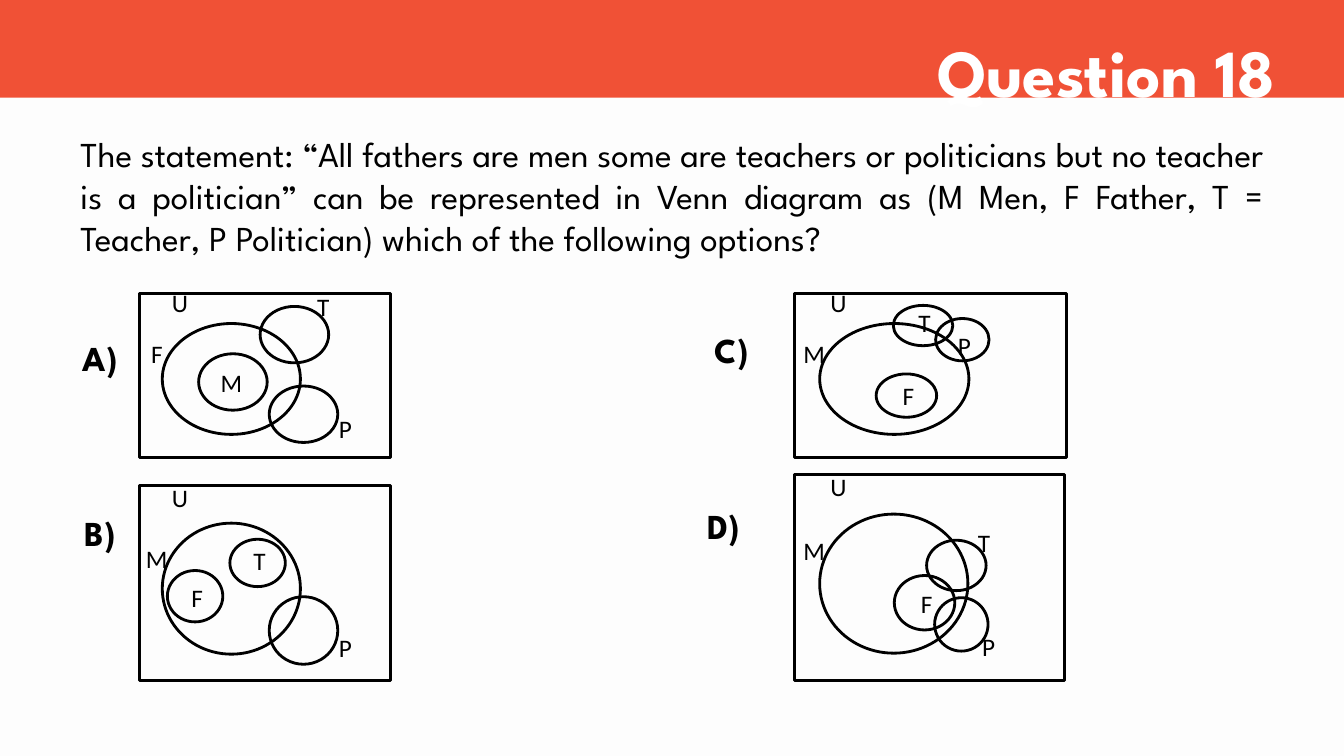
"""Build the Venn diagram quiz slide."""
from dataclasses import dataclass
from typing import NamedTuple

from pptx import Presentation
from pptx.dml.color import RGBColor
from pptx.enum import shapes, text
from pptx.shapes.autoshape import Shape
from pptx.shapes.shapetree import GroupShapes, SlideShapes
from pptx.util import Inches, Pt


@dataclass(frozen=True)
class Theme:
    """Colours, fonts and sizes of the slide."""
    ink: RGBColor = RGBColor(0, 0, 0)
    paper: RGBColor = RGBColor(0xFD, 0xFD, 0xFD)
    white: RGBColor = RGBColor(0xFF, 0xFF, 0xFF)
    band: RGBColor = RGBColor(0xF0, 0x51, 0x36)
    face: str = "League Spartan"
    plain: str = "Calibri"
    title: int = 48
    body: int = 25
    label: int = 18
    line: int = 2


class Box(NamedTuple):
    """Left, top, width and height in inches."""
    left: float
    top: float
    width: float
    height: float


class Label(NamedTuple):
    """A set name and the corner of its box."""
    name: str
    left: float
    top: float


@dataclass(frozen=True)
class Option:
    """One answer with its Venn diagram."""
    mark: str
    spot: tuple[float, float]
    frame: Box
    rings: list[Box]
    wide: float
    slim: float
    tall: float
    labels: list[Label]


THEME = Theme()
LEFT, RIGHT = text.PP_ALIGN.LEFT, text.PP_ALIGN.RIGHT
CENTER, JUSTIFY = text.PP_ALIGN.CENTER, text.PP_ALIGN.JUSTIFY
RECT = shapes.MSO_SHAPE.RECTANGLE
RING = shapes.MSO_SHAPE.FLOWCHART_CONNECTOR
QUERY = (
    "The statement: “All fathers are men some are teachers or politicians "
    "but no teacher is a politician” can be represented in Venn diagram as "
    "(M Men, F Father, T = Teacher, P Politician) which of the following options? "
)
OPTIONS = [
    Option("A)", (0.72, 3.08), Box(1.38, 2.91, 2.49, 1.63),
           [Box(1.61, 3.21, 1.37, 1.1), Box(1.97, 3.51, 0.68, 0.56),
            Box(2.58, 3.04, 0.68, 0.56), Box(2.67, 3.83, 0.68, 0.56)],
           0.45, 0.45, 0.21,
           [Label("T", 2.98, 2.93), Label("U", 1.56, 2.89), Label("M", 2.07, 3.69),
            Label("F", 1.33, 3.4), Label("P", 3.2, 4.15)]),
    Option("B)", (0.74, 4.82), Box(1.38, 4.82, 2.49, 1.93),
           [Box(1.61, 5.19, 1.37, 1.3), Box(1.66, 5.66, 0.55, 0.51),
            Box(2.28, 5.35, 0.55, 0.47), Box(2.67, 5.92, 0.68, 0.67)],
           0.45, 0.37, 0.25,
           [Label("T", 2.39, 5.43), Label("U", 1.56, 4.81), Label("F", 1.77, 5.8),
            Label("M", 1.33, 5.41), Label("P", 3.2, 6.3)]),
    Option("C)", (6.99, 3), Box(7.88, 2.91, 2.7, 1.63),
           [Box(8.13, 3.21, 1.48, 1.1), Box(8.69, 3.71, 0.6, 0.43),
            Box(8.86, 3.03, 0.59, 0.4), Box(9.28, 3.16, 0.53, 0.42)],
           0.49, 0.4, 0.21,
           [Label("T", 8.97, 3.09), Label("U", 8.07, 2.89), Label("F", 8.81, 3.82),
            Label("M", 7.83, 3.4), Label("P", 9.32, 3.32)]),
    Option("D)", (6.92, 4.75), Box(7.88, 4.71, 2.68, 2.04),
           [Box(8.13, 5.1, 1.47, 1.38), Box(8.87, 5.71, 0.6, 0.54),
            Box(9.19, 5.36, 0.59, 0.5), Box(9.27, 5.93, 0.53, 0.53)],
           0.49, 0.4, 0.26,
           [Label("T", 9.56, 5.25), Label("U", 8.07, 4.7), Label("F", 8.99, 5.86),
            Label("M", 7.83, 5.33), Label("P", 9.56, 6.28)]),
]


def write(tree: SlideShapes | GroupShapes, box: Box, words: str, size: int,
          align: text.PP_ALIGN = LEFT, face: str = THEME.face,
          bold: bool = False, color: RGBColor = THEME.ink) -> Shape:
    """Add a text box with one paragraph."""
    shape = tree.add_textbox(*map(Inches, box))
    shape.text_frame.word_wrap = True
    para = shape.text_frame.paragraphs[0]
    para.text, para.alignment = words, align
    font = para.font
    font.name, font.size, font.bold = face, Pt(size), bold
    font.color.rgb = color
    return shape


def trace(tree: GroupShapes, kind: shapes.MSO_SHAPE, box: Box) -> None:
    """Add an unfilled outline."""
    shape = tree.add_shape(kind, *map(Inches, box))
    shape.shadow.inherit = False
    shape.fill.background()
    shape.line.color.rgb = THEME.ink
    shape.line.width = Pt(THEME.line)


def tag(tree: GroupShapes, label: Label, option: Option) -> None:
    """Add the name of a set."""
    width = option.slim if label.name in "TF" else option.wide
    box = Box(label.left, label.top, width, option.tall)
    frame = write(tree, box, label.name, THEME.label, CENTER, THEME.plain).text_frame
    frame.vertical_anchor = text.MSO_ANCHOR.MIDDLE
    frame.margin_left = frame.margin_right = 0
    frame.margin_top = frame.margin_bottom = 0


def draw(tree: SlideShapes, option: Option) -> None:
    """Add one answer mark and its grouped diagram."""
    mark = write(tree, Box(*option.spot, 0.76, 0.68), option.mark, THEME.body, bold=True)
    mark.text_frame.paragraphs[0].line_spacing = 1.5
    group = tree.add_group_shape().shapes
    trace(group, RECT, option.frame)
    for ring in option.rings:
        trace(group, RING, ring)
    for label in option.labels:
        tag(group, label, option)


def main() -> None:
    """Build and save the slide."""
    deck = Presentation()
    deck.slide_width, deck.slide_height = Inches(13.33), Inches(7.5)
    slide = deck.slides.add_slide(deck.slide_layouts[6])
    fill = slide.background.fill
    fill.solid()
    fill.fore_color.rgb = THEME.paper
    tree = slide.shapes
    write(tree, Box(0.7, 1.27, 11.93, 1.36), QUERY, THEME.body, JUSTIFY)
    band = tree.add_shape(RECT, 0, 0, deck.slide_width, Inches(0.97))
    band.shadow.inherit = False
    band.fill.solid()
    band.fill.fore_color.rgb = THEME.band
    band.line.fill.background()
    write(tree, Box(4.25, 0.25, 8.5, 0.91), "Question 18", THEME.title, RIGHT,
          bold=True, color=THEME.white)
    for option in OPTIONS:
        draw(tree, option)
    deck.save("out.pptx")


if __name__ == "__main__":
    main()
